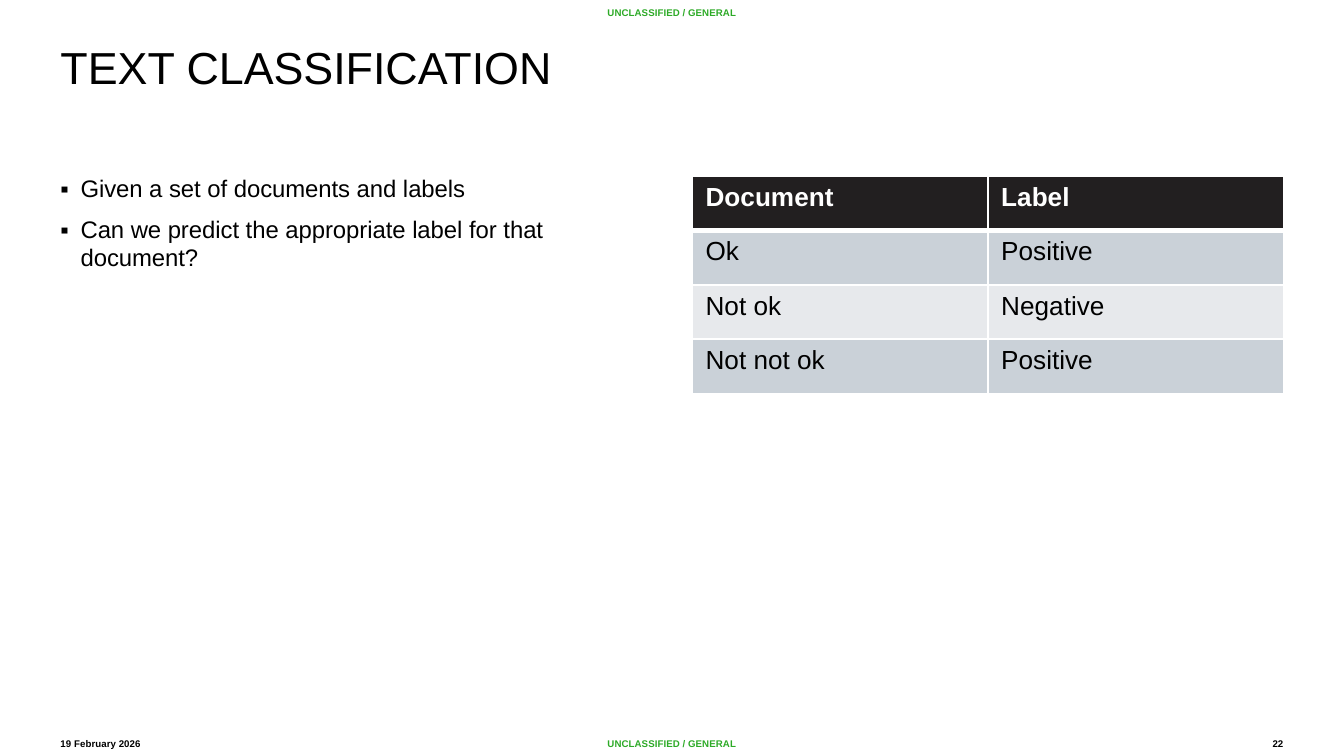
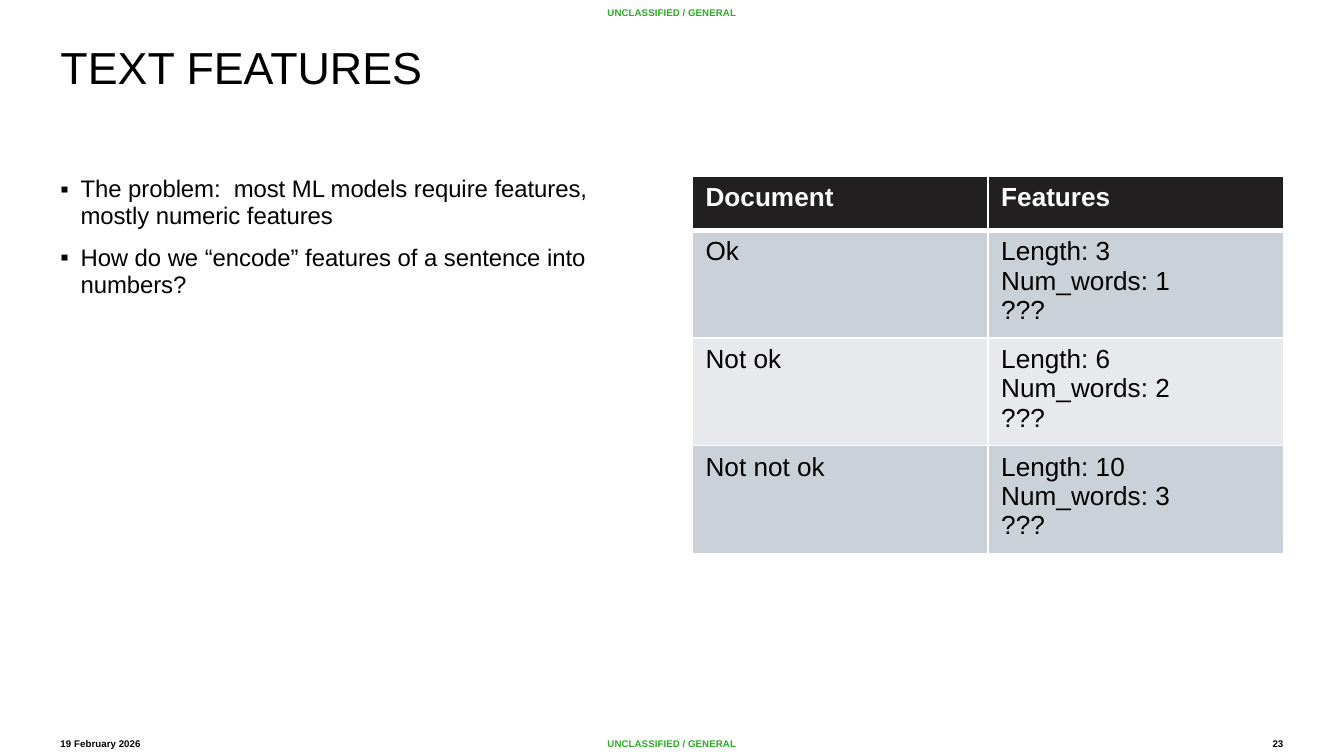
from collections import namedtuple

from lxml import etree
from pptx import Presentation
from pptx import util as u
from pptx.dml.color import RGBColor
from pptx.enum import text
from pptx.oxml import ns

Box = namedtuple("Box", "left top width height")

WIDTH = 10
HEIGHT = WIDTH * 9 / 16
MARGIN = 0.045 * WIDTH
GUTTER = 0.03 * WIDTH
COLUMN = (WIDTH - 2 * MARGIN - GUTTER) / 2
CONTENT_TOP = 1.31
STRIP = 0.19
STRIP_TOP = HEIGHT - STRIP
MARKING_LEFT = 1.14
NUMBER_WIDTH = 0.36
ROW = 1.62 / 4

TITLE_BOX = Box(MARGIN, 0.34, 0.675 * WIDTH, 0.75)
POINTS_BOX = Box(MARGIN, CONTENT_TOP, COLUMN, 3.75)
DATE_BOX = Box(MARGIN, STRIP_TOP, 0.68, STRIP)
NUMBER_BOX = Box(WIDTH - MARGIN - NUMBER_WIDTH, STRIP_TOP, NUMBER_WIDTH, STRIP)
TOP_MARKING_BOX = Box(MARKING_LEFT, 0, WIDTH - 2 * MARKING_LEFT, STRIP)
BOTTOM_MARKING_BOX = TOP_MARKING_BOX._replace(top=STRIP_TOP)

FONT = "Arial"
BLACK = RGBColor(0x00, 0x00, 0x00)
WHITE = RGBColor(0xFF, 0xFF, 0xFF)
GREEN = RGBColor(0x2D, 0xAA, 0x27)
HEADER = RGBColor(0x22, 0x1F, 0x20)
BANDS = (RGBColor(0xCA, 0xD1, 0xD8), RGBColor(0xE7, 0xE9, 0xEC))

MARKING = "UNCLASSIFIED / GENERAL"
DATE = "19 February 2026"
LEFT, CENTER, RIGHT = (text.PP_ALIGN.LEFT, text.PP_ALIGN.CENTER,
                       text.PP_ALIGN.RIGHT)
TOP, BOTTOM = text.MSO_ANCHOR.TOP, text.MSO_ANCHOR.BOTTOM

SLIDES = [
    ("TEXT CLASSIFICATION", 22,
     ["Given a set of documents and labels",
      "Can we predict the appropriate label for that document?"],
     [("Document", "Label"),
      ("Ok", "Positive"),
      ("Not ok", "Negative"),
      ("Not not ok", "Positive")],
     1.62),
    ("TEXT FEATURES", 23,
     ["The problem:  most ML models require features, mostly numeric features",
      "How do we “encode” features of a sentence into numbers?"],
     [("Document", "Features"),
      ("Ok", "Length: 3\nNum_words: 1\n???"),
      ("Not ok", "Length: 6\nNum_words: 2\n???"),
      ("Not not ok", "Length: 10\nNum_words: 3\n???")],
     2.62),
]


def inches(box):
    return [u.Inches(length) for length in box]


def write(frame, lines, size, color=BLACK, bold=False, align=LEFT, spacing=None):
    for index, line in enumerate(lines):
        paragraph = frame.paragraphs[0] if index == 0 else frame.add_paragraph()
        paragraph.alignment = align
        if spacing:
            paragraph.line_spacing = spacing
        run = paragraph.add_run()
        run.text = line
        run.font.name = FONT
        run.font.size = u.Pt(size)
        run.font.bold = bold
        run.font.color.rgb = color


def add_text(slide, box, lines, size, anchor=TOP, inset=0, **style):
    frame = slide.shapes.add_textbox(*inches(box)).text_frame
    frame.word_wrap = True
    frame.vertical_anchor = anchor
    frame.margin_left = frame.margin_right = 0
    frame.margin_top = frame.margin_bottom = u.Inches(inset)
    write(frame, lines, size, **style)
    return frame


def add_strips(slide, number):
    for box, line, anchor, color, align in (
            (BOTTOM_MARKING_BOX, MARKING, BOTTOM, GREEN, CENTER),
            (TOP_MARKING_BOX, MARKING, TOP, GREEN, CENTER),
            (DATE_BOX, DATE, BOTTOM, BLACK, LEFT),
            (NUMBER_BOX, str(number), BOTTOM, BLACK, RIGHT)):
        add_text(slide, box, [line], 5.25, anchor, 0.05,
                 color=color, bold=True, align=align)


def add_points(slide, box, points):
    frame = add_text(slide, box, points, 12.75, spacing=0.95)
    indent = u.Inches(0.15)
    for paragraph in frame.paragraphs:
        paragraph.space_before = u.Pt(7.5)
        properties = paragraph._p.get_or_add_pPr()
        properties.set("marL", str(indent))
        properties.set("indent", str(-indent))
        etree.SubElement(properties, ns.qn("a:buFont")).set("typeface", FONT)
        etree.SubElement(properties, ns.qn("a:buChar")).set("char", "▪")


def set_borders(cell, top, bottom):
    properties = cell._tc.get_or_add_tcPr()
    for side, points in (("L", 1), ("R", 1), ("T", top), ("B", bottom)):
        border = etree.SubElement(properties, ns.qn(f"a:ln{side}"))
        border.set("w", str(u.Pt(points)))
        fill = etree.SubElement(border, ns.qn("a:solidFill"))
        etree.SubElement(fill, ns.qn("a:srgbClr")).set("val", str(WHITE))


def add_examples(slide, box, rows):
    holder = slide.shapes.add_table(len(rows), len(rows[0]), *inches(box))
    table = holder.table
    table.horz_banding = False
    for r, row in enumerate(rows):
        is_header = r == 0
        table.rows[r].height = u.Inches(ROW)
        for c, content in enumerate(row):
            cell = table.cell(r, c)
            set_borders(cell, 3 if r == 1 else 1, 3 if is_header else 1)
            cell.fill.solid()
            cell.fill.fore_color.rgb = HEADER if is_header else BANDS[(r - 1) % 2]
            write(cell.text_frame, content.split("\n"), 14,
                  WHITE if is_header else BLACK, is_header)
    holder.height = u.Inches(box.height)


def add_topic_slide(deck, title, number, points, rows, table_height):
    slide = deck.slides.add_slide(deck.slide_layouts[6])
    add_strips(slide, number)
    add_text(slide, TITLE_BOX, [title], 24, spacing=0.9)
    add_points(slide, POINTS_BOX, points)
    examples = Box(MARGIN + COLUMN + GUTTER, CONTENT_TOP, COLUMN, table_height)
    add_examples(slide, examples, rows)


def main():
    deck = Presentation()
    deck.slide_width, deck.slide_height = u.Inches(WIDTH), u.Inches(HEIGHT)
    for topic in SLIDES:
        add_topic_slide(deck, *topic)
    deck.save("out.pptx")


if __name__ == "__main__":
    main()
